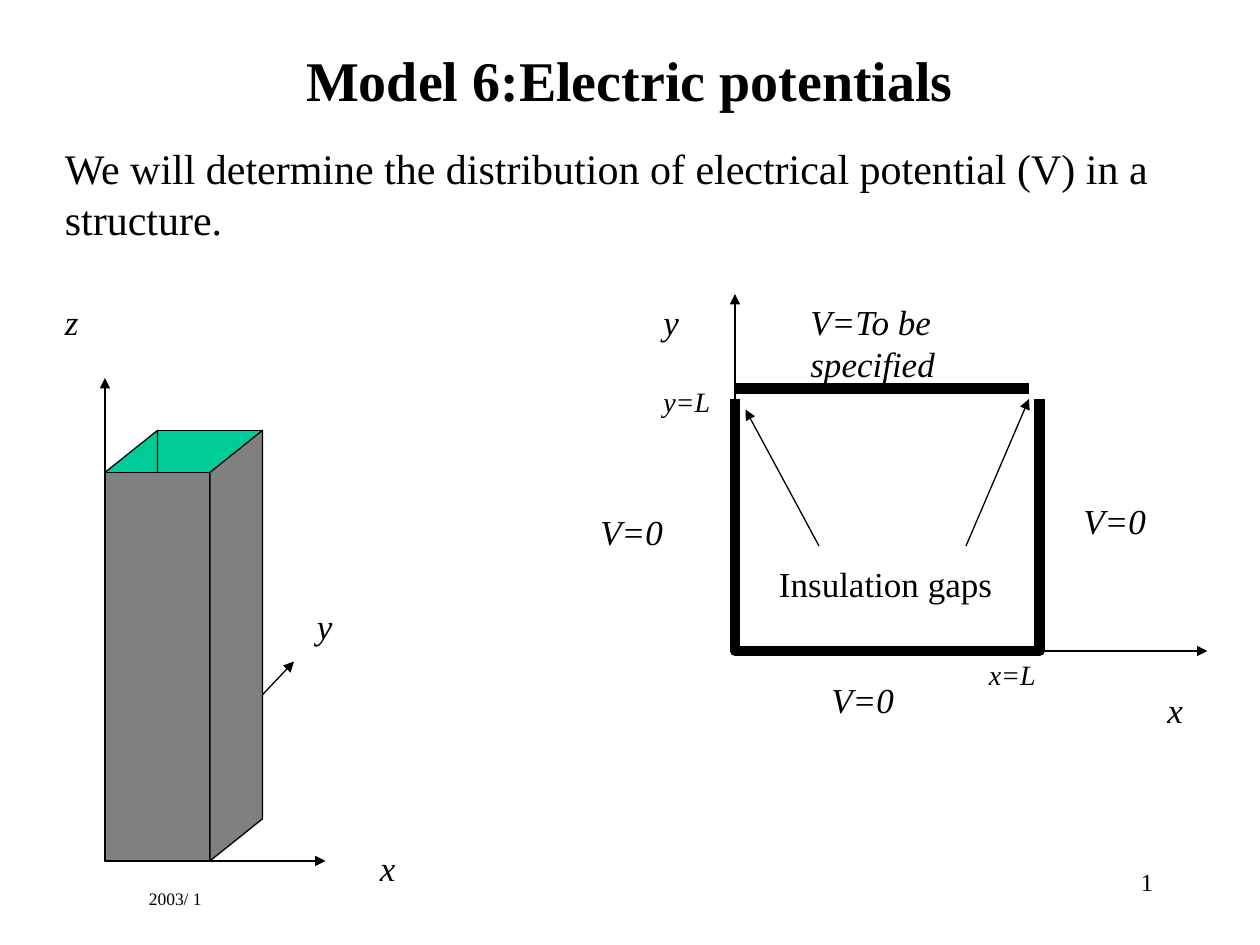
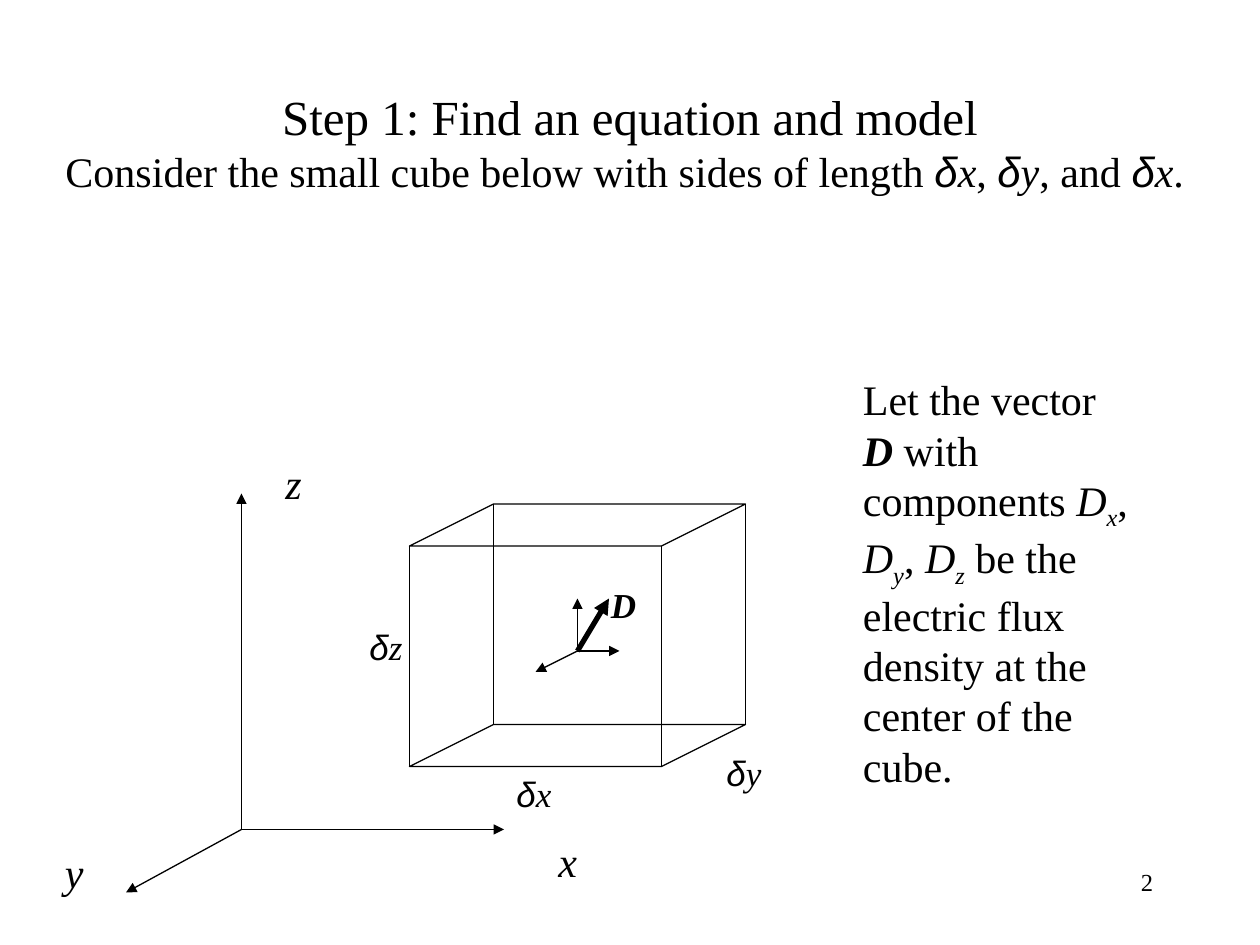
from pptx import Presentation
from pptx.dml.color import RGBColor
from pptx.enum.shapes import MSO_CONNECTOR, MSO_SHAPE
from pptx.enum.text import MSO_ANCHOR, MSO_AUTO_SIZE, PP_ALIGN
from pptx.oxml import parse_xml
from pptx.oxml.ns import nsdecls
from pptx.util import Inches, Pt

BLACK = RGBColor(0x00, 0x00, 0x00)
INNER_GREEN = RGBColor(0x00, 0xCC, 0x99)
OUTER_GREY = RGBColor(0x80, 0x80, 0x80)
SERIF, SANS = "Times New Roman", "Arial"
CELL = Inches(1) // 12
COLS, ROWS = 120, 90

ITALIC = {"italic": True}
SUB = {"italic": True, "baseline": -25000}
DELTA = ("δ", {"font": SANS, "italic": True})


def grid(*cells):
    return [round(c * CELL) for c in cells]


def add_runs(p, runs, size, **base):
    for item in [runs] if isinstance(runs, str) else runs:
        text, extra = (item, {}) if isinstance(item, str) else item
        if text == "\n":
            p.add_line_break()
            continue
        fmt = {**base, **extra}
        r = p.add_run()
        r.text = text
        r.font.name = fmt.get("font", SERIF)
        r.font.size = Pt(fmt.get("size", size))
        r.font.bold = fmt.get("bold", False)
        r.font.italic = fmt.get("italic", False)
        r.font.color.rgb = BLACK
        if "baseline" in fmt:
            r._r.get_or_add_rPr().set("baseline", str(fmt["baseline"]))


def add_text(shapes, runs, col, row, width, size=20, lines=1, align=PP_ALIGN.LEFT, **fmt):
    height = 12 * (size * 1.2 * lines / 72 + 0.1)
    tf = shapes.add_textbox(*grid(col, row, width, height)).text_frame
    tf.word_wrap = True
    tf.paragraphs[0].alignment = align
    add_runs(tf.paragraphs[0], runs, size, **fmt)


def add_labels(shapes, labels, width, size=20):
    for runs, col, row in labels:
        add_text(shapes, runs, col, row, width, size, italic=True)


def add_line(shapes, start, end, weight=0.75, arrow=False):
    line = shapes.add_connector(MSO_CONNECTOR.STRAIGHT, *grid(*start, *end))
    line.line.color.rgb = BLACK
    line.line.width = Pt(weight)
    if arrow:
        line.line._get_or_add_ln().append(
            parse_xml(f'<a:tailEnd {nsdecls("a")} type="triangle"/>'))
    line._element.spPr.append(parse_xml(f'<a:effectLst {nsdecls("a")}/>'))


def add_arrows(shapes, origin, tips, weight=0.75):
    for tip in tips:
        add_line(shapes, origin, tip, weight, arrow=True)


def outline(sp, fill=None, weight=0.75):
    sp.shadow.inherit = False
    if fill is None:
        sp.fill.background()
    else:
        sp.fill.solid()
        sp.fill.fore_color.rgb = fill
    sp.line.color.rgb = BLACK
    sp.line.width = Pt(weight)
    return sp


def add_preset(shapes, kind, col, row, width, height, fill=None):
    return outline(shapes.add_shape(kind, *grid(col, row, width, height)), fill)


def add_outline(shapes, points, fill=None, weight=0.75, close=True):
    builder = shapes.build_freeform(*points[0], scale=CELL)
    builder.add_line_segments(points[1:], close=close)
    return outline(builder.convert_to_shape(), fill, weight)


def add_side_wall(shapes, col, fill):
    add_outline(shapes, [(col, 82), (col, 45), (col + 5, 41), (col + 5, 78)], fill)


def new_slide(prs, number, title, col, row, size, bold=False, top=None):
    slide = prs.slides.add_slide(prs.slide_layouts[5])
    sp = slide.shapes.title
    sp.left, sp.top, sp.width, sp.height = grid(col, row, COLS - 2 * col, 15)
    tf = sp.text_frame
    tf.word_wrap = True
    tf.auto_size = MSO_AUTO_SIZE.NONE
    tf.vertical_anchor = MSO_ANCHOR.MIDDLE
    if top is not None:
        tf.vertical_anchor = MSO_ANCHOR.TOP
        tf.margin_top = top
    tf.paragraphs[0].alignment = PP_ALIGN.CENTER
    add_runs(tf.paragraphs[0], title, size, bold=bold)
    add_text(slide.shapes, str(number), 86, 82, 25, 14, align=PP_ALIGN.RIGHT)
    return slide.shapes


def draw_column(shapes):
    origin = (10, 82)
    add_arrows(shapes, origin, [(28, 63)])
    add_preset(shapes, MSO_SHAPE.RECTANGLE, 15, 41, 10, 37, INNER_GREEN)
    add_side_wall(shapes, 10, INNER_GREEN)
    add_preset(shapes, MSO_SHAPE.RECTANGLE, 10, 45, 10, 37, OUTER_GREY)
    add_side_wall(shapes, 20, OUTER_GREY)
    add_arrows(shapes, origin, [(10, 36), (31, 82)])
    add_labels(shapes, [("x", 35, 80), ("y", 29, 57), ("z", 5, 28)], 6)


def draw_cross_section(shapes):
    add_arrows(shapes, (70, 62), [(70, 28), (115, 62)])
    add_line(shapes, (98, 37), (70, 37), weight=6)
    add_labels(shapes, [("x", 110, 65), ("y", 62, 28)], 6)
    add_labels(shapes, [("V=0", 78, 64), ("V=0", 56, 48), ("V=0", 102, 47)], 11)
    add_text(shapes, "V=To be specified", 76, 28, 19, lines=2, italic=True)
    add_arrows(shapes, (78, 52), [(71, 39)])
    add_arrows(shapes, (92, 52), [(98, 38)])
    add_text(shapes, "Insulation gaps", 73, 53, 26)
    add_labels(shapes, [("x=L", 93, 62), ("y=L", 62, 36)], 8, size=16)
    add_outline(shapes, [(70, 38), (70, 62), (99, 62), (99, 38)], weight=6, close=False)


def draw_cube(shapes):
    left, top, side, height, depth, rise = 39, 48, 24, 21, 8, 4
    for row in (top, top + height):
        face = add_preset(shapes, MSO_SHAPE.PARALLELOGRAM, left, row, side + depth, rise)
        face.adjustments[0] = depth / rise
    for shift, drop in ((0, rise), (depth, 0)):
        for col in (left + shift, left + shift + side):
            add_line(shapes, (col, top + drop), (col, top + drop + height))
    add_labels(shapes, [([DELTA, "x"], 48, 73), ([DELTA, "z"], 34, 59),
                        ([DELTA, "y"], 68, 71)], 9)


def draw_flux_vector(shapes):
    center = (55, 62)
    add_arrows(shapes, center, [(55, 57), (59, 62), (51, 64)])
    add_arrows(shapes, center, [(58, 57)], weight=3)
    add_text(shapes, "D", 57, 55, 9, bold=True, italic=True)


def build_potentials(prs):
    shapes = new_slide(prs, 1, "Model 6:Electric potentials", 9, 0, 32, bold=True)
    add_text(shapes, "We will determine the distribution of electrical potential (V) "
             "in a structure.", 5, 13, 109, 24, lines=2)
    draw_column(shapes)
    draw_cross_section(shapes.add_group_shape().shapes)
    add_text(shapes, "2003/ 1", 13, 84, 12, 10)


def build_cube_model(prs):
    x, y = ("x", ITALIC), ("y", ITALIC)
    subtitle = ["Consider the small cube below with sides of length ", DELTA, x,
                ", ", DELTA, y, ", and ", DELTA, x, ". "]
    title = [("Step 1: Find an equation and model", {"size": 28}), "\n", *subtitle]
    shapes = new_slide(prs, 2, title, 3, 8, 24, top=Inches(0.02))
    add_arrows(shapes, (23, 79), [(23, 47), (12, 85), (48, 79)])
    add_labels(shapes, [("x", 52, 79), ("y", 5, 80), ("z", 26, 43)], 5, size=24)
    draw_cube(shapes)
    draw_flux_vector(shapes)
    d = ("D", ITALIC)
    add_text(shapes, ["Let the vector ", ("D", {"bold": True, "italic": True}),
                      " with components ", d, ("x", SUB), ", ", d, ("y", SUB), ", ",
                      d, ("z", SUB),
                      " be the electric flux density at the center of the cube."],
             81, 35, 28, 24, lines=8)


def main():
    prs = Presentation()
    prs.slide_width, prs.slide_height = grid(COLS, ROWS)
    build_potentials(prs)
    build_cube_model(prs)
    prs.save("out.pptx")


if __name__ == "__main__":
    main()
